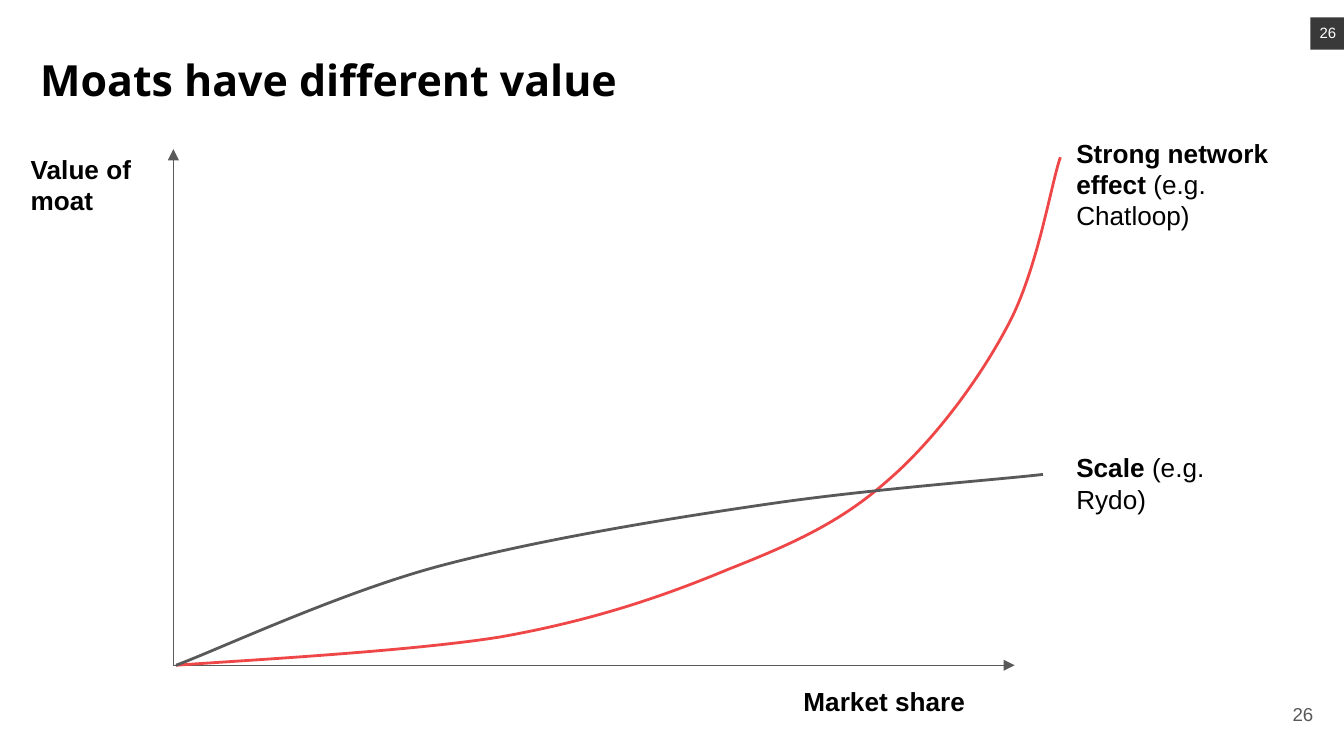
from pptx import Presentation
from pptx.dml.color import RGBColor
from pptx.enum import shapes, text
from pptx.oxml import ns
from pptx.util import Inches, Pt
from lxml import etree

BLACK = RGBColor(0x00, 0x00, 0x00)
WHITE = RGBColor(0xFF, 0xFF, 0xFF)
DARK = RGBColor(0x39, 0x39, 0x39)
GREY = RGBColor(0x59, 0x59, 0x59)
RED = RGBColor(0xEF, 0x47, 0x47)

LEFT, MID, RIGHT = text.PP_ALIGN.LEFT, text.PP_ALIGN.CENTER, text.PP_ALIGN.RIGHT
TOP, MIDDLE = text.MSO_ANCHOR.TOP, text.MSO_ANCHOR.MIDDLE

# Bezier points: start, then two handles and an end per segment,
# as inches right of and above the start of the curve.
NETWORK = [(0, 0),
           (0.4, 0.03), (1.72, 0.1), (2.41, 0.21),
           (3.09, 0.33), (3.62, 0.51), (4.1, 0.71),
           (4.58, 0.9), (4.94, 1.06), (5.29, 1.37),
           (5.64, 1.67), (5.98, 2.13), (6.19, 2.53),
           (6.41, 2.94), (6.51, 3.58), (6.58, 3.78)]
SCALE = [(0, 0),
         (0.32, 0.12), (1.2, 0.53), (1.93, 0.73),
         (2.67, 0.93), (3.65, 1.09), (4.41, 1.2),
         (5.16, 1.31), (6.11, 1.38), (6.45, 1.42)]


def add_text(slide, box, bold, plain="", size=14, font="Arial", color=BLACK,
             align=LEFT, anchor=TOP, inset=0.1, space=None):
    """Add a text box with a bold run followed by a plain run."""
    frame = slide.shapes.add_textbox(*map(Inches, box)).text_frame
    form = {"word_wrap": True, "vertical_anchor": anchor}
    for side in ("left", "top", "right", "bottom"):
        form["margin_" + side] = Inches(inset)
    for name, value in form.items():
        setattr(frame, name, value)
    para = frame.paragraphs[0]
    para.alignment = align
    if space:
        para.line_spacing = space
    for words, heavy in ((bold, True), (plain, False)):
        if words:
            run = para.add_run()
            run.text = words
            for name, value in {"size": Pt(size), "name": font, "bold": heavy}.items():
                setattr(run.font, name, value)
            run.font.color.rgb = color


def add_axis(slide, start, end):
    line = slide.shapes.add_connector(
        shapes.MSO_CONNECTOR.STRAIGHT, *map(Inches, start + end))
    line.line.color.rgb = GREY
    line.line.width = Pt(0.75)
    etree.SubElement(line.line._get_or_add_ln(), ns.qn("a:tailEnd"), type="triangle")
    etree.SubElement(line._element.spPr, ns.qn("a:effectLst"))


def add_curve(slide, x, y, points, color):
    """Draw an open Bezier curve that starts at x, y."""
    spots = [(Inches(x + dx), Inches(y - dy)) for dx, dy in points]
    form = slide.shapes.build_freeform(*spots[0])
    form.add_line_segments(spots[1:], close=False)
    curve = form.convert_to_shape()
    curve.shadow.inherit = False
    curve.fill.background()
    curve.line.color.rgb = color
    curve.line.width = Pt(1.5)
    # Join each three straight segments into one Bezier segment.
    steps = list(curve._element.iter(ns.qn("a:lnTo")))
    for i in range(0, len(steps), 3):
        first, *rest = steps[i:i + 3]
        first.tag = ns.qn("a:cubicBezTo")
        for step in rest:
            first.append(step[0])
            step.getparent().remove(step)


def add_plot(slide, x, y, w, h):
    base = y + h
    add_axis(slide, (x, base), (x, y))
    add_axis(slide, (x, base), (x + w, base))
    wide, high = 1.67, 0.43
    side = x + w + 0.36
    add_curve(slide, x + 0.02, base, NETWORK, RED)
    add_text(slide, (side, y - 0.19, wide, high),
             "Strong network effect ", "(e.g. Chatloop)")
    add_curve(slide, x + 0.02, base, SCALE, GREY)
    add_text(slide, (side, y + 2.15, wide, high), "Scale ", "(e.g. Rydo)")
    add_text(slide, (x + w - wide, base + 0.05, wide, high), "Market share")
    add_text(slide, (x - 1.16, y - 0.07, 1.01, high), "Value of moat")


def add_tag(slide, x, y, w, h, number):
    tag = slide.shapes.add_shape(
        shapes.MSO_SHAPE.RECTANGLE, *map(Inches, (x, y, w, h)))
    tag.shadow.inherit = False
    tag.fill.solid()
    tag.fill.fore_color.rgb = DARK
    tag.line.fill.background()
    add_text(slide, (x + 0.06, y + 0.05, 0.14, 0.13), "", number, size=8,
             color=WHITE, align=MID, anchor=MIDDLE, inset=0)


def main():
    deck = Presentation()
    deck.slide_width = Inches(10)
    deck.slide_height = deck.slide_width * 9 // 16
    slide = deck.slides.add_slide(deck.slide_layouts[6])
    add_tag(slide, 9.75, 0.13, 0.25, 0.24, "26")
    add_text(slide, (9.27, 5.1, 0.6, 0.43), "", "26", size=10, color=GREY,
             align=RIGHT, anchor=MIDDLE)
    add_plot(slide, 1.29, 1.11, 6.26, 3.84)
    add_text(slide, (0.2, 0.24, 9.17, 0.82), "Moats have different value",
             size=23, font="Open Sans", space=1.15)
    deck.save("out.pptx")


if __name__ == "__main__":
    main()
